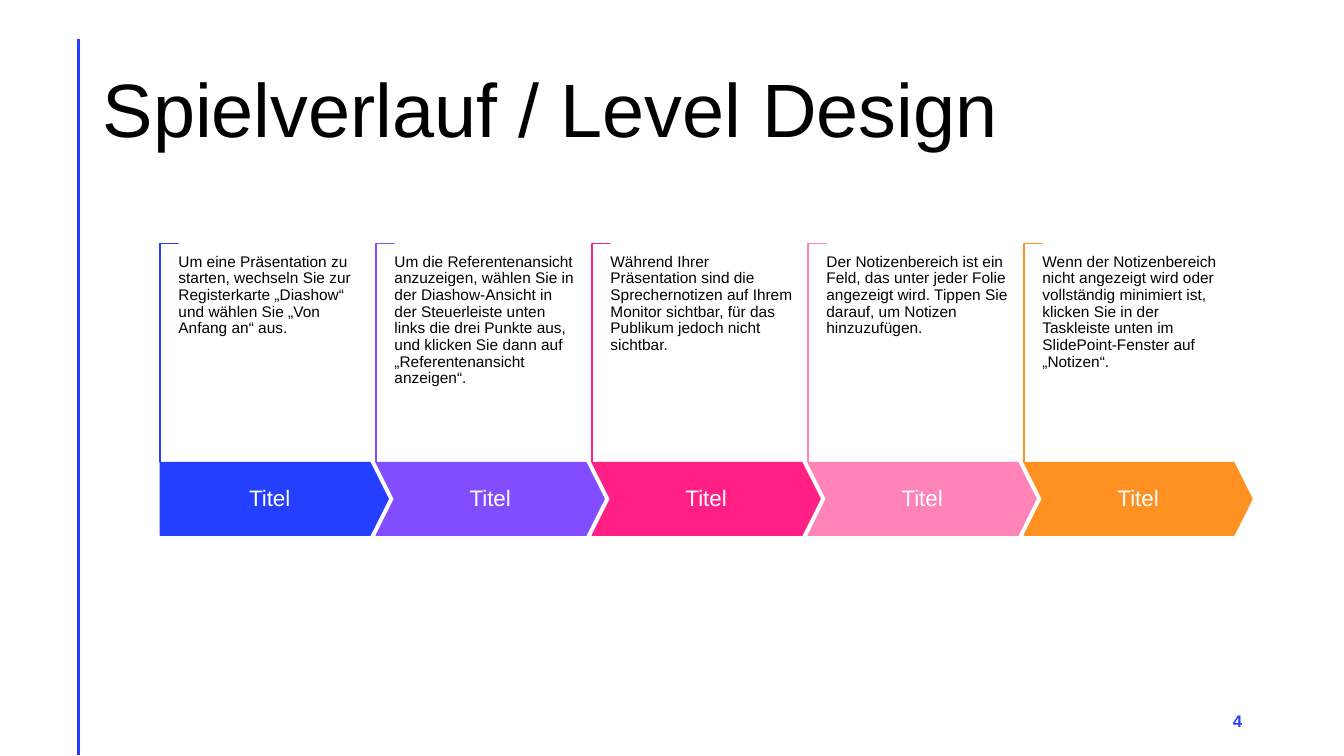
import dataclasses

import lxml.etree
import pptx
import pptx.dml.color
import pptx.enum.shapes
import pptx.enum.text
import pptx.oxml.ns
import pptx.util

ALIGN = pptx.enum.text.PP_ALIGN
ANCHOR = pptx.enum.text.MSO_ANCHOR
SHAPE = pptx.enum.shapes.MSO_SHAPE


@dataclasses.dataclass(frozen=True)
class Theme:
    font: str = "Arial"
    ink: str = "000000"
    paper: str = "FFFFFF"
    accent: str = "243FFF"
    steps: tuple = ("243FFF", "814DFF", "FF1F85", "FF83B6", "FF9022")
    heading_size: int = 54
    step_size: int = 16
    body_size: int = 11
    number_size: int = 12


def rgb(code):
    return pptx.dml.color.RGBColor.from_string(code)


def write(frame, text, *, font, size, color, bold=False, align=ALIGN.LEFT,
          anchor=ANCHOR.TOP, spacing=0.9, inset=0.1):
    """Fill a text frame with one formatted paragraph; inset is in inches."""
    frame.word_wrap = True
    frame.vertical_anchor = anchor
    frame.margin_left = frame.margin_right = pptx.util.Inches(inset)
    frame.margin_top = frame.margin_bottom = pptx.util.Inches(inset / 2)
    paragraph = frame.paragraphs[0]
    paragraph.alignment = align
    paragraph.line_spacing = spacing
    run = paragraph.add_run()
    run.text = text
    run.font.name = font
    run.font.size = pptx.util.Pt(size)
    run.font.bold = bold
    run.font.color.rgb = rgb(color)


class SlideBuilder:
    """Draws on a slide; every length is a percentage of the slide's size."""

    def __init__(self, presentation, theme):
        self.theme = theme
        self.width = presentation.slide_width
        self.height = presentation.slide_height
        self.slide = presentation.slides.add_slide(presentation.slide_layouts[6])

    def box(self, left, top, width, height):
        return (round(left * self.width / 100), round(top * self.height / 100),
                round(width * self.width / 100), round(height * self.height / 100))

    def text(self, area, words, **style):
        label = self.slide.shapes.add_textbox(*self.box(*area))
        write(label.text_frame, words, font=self.theme.font, **style)

    def shape(self, kind, area, fill, line, adjustments, rotation=0):
        figure = self.slide.shapes.add_shape(kind, *self.box(*area))
        figure.shadow.inherit = False
        figure.rotation = rotation
        for index, value in enumerate(adjustments):
            figure.adjustments[index] = value
        figure.fill.solid()
        figure.fill.fore_color.rgb = rgb(fill)
        figure.line.color.rgb = rgb(line)
        figure.line.width = pptx.util.Pt(1)
        return figure

    def rule(self, x, top, bottom, color, weight):
        left, start, _, drop = self.box(x, top, 0, bottom - top)
        rule = self.slide.shapes.add_connector(
            pptx.enum.shapes.MSO_CONNECTOR.STRAIGHT, left, start, left, start + drop)
        rule.line.color.rgb = rgb(color)
        rule.line.width = pptx.util.Pt(weight)
        lxml.etree.SubElement(rule._element.spPr, pptx.oxml.ns.qn("a:effectLst"))

    def step(self, index, title, description):
        theme, color = self.theme, self.theme.steps[index]
        left = STEP_LEFT + index * STEP_PITCH
        # Bracket: a thin corner, turned so that it runs down to the arrow
        self.shape(SHAPE.CORNER, (left - 7.5, 45.47, 16.28, 2.4),
                   theme.paper, color, (0.01, 0.01), rotation=90)
        # Arrow with its title
        kind = SHAPE.CHEVRON if index else SHAPE.PENTAGON
        arrow = self.shape(kind, (left, 61.2, 16.95, 9.6), color, color, (0.25,))
        write(arrow.text_frame, title, font=theme.font, size=theme.step_size,
              color=theme.paper, align=ALIGN.CENTER, anchor=ANCHOR.MIDDLE)
        # Description
        self.text((left + 1.35, 33.6, 13.73, 20.67), description,
                  size=theme.body_size, color=theme.ink, inset=0)


STEP_LEFT, STEP_PITCH = 11.93, 16.07
STEPS = (
    ("Titel", "Um eine Präsentation zu starten, wechseln Sie zur Registerkarte "
              "„Diashow“ und wählen Sie „Von Anfang an“ aus."),
    ("Titel", "Um die Referentenansicht anzuzeigen, wählen Sie in der "
              "Diashow-Ansicht in der Steuerleiste unten links die drei Punkte "
              "aus, und klicken Sie dann auf „Referentenansicht anzeigen“."),
    ("Titel", "Während Ihrer Präsentation sind die Sprechernotizen auf Ihrem "
              "Monitor sichtbar, für das Publikum jedoch nicht sichtbar."),
    ("Titel", "Der Notizenbereich ist ein Feld, das unter jeder Folie angezeigt "
              "wird. Tippen Sie darauf, um Notizen hinzuzufügen."),
    ("Titel", "Wenn der Notizenbereich nicht angezeigt wird oder vollständig "
              "minimiert ist, klicken Sie in der Taskleiste unten im "
              "SlidePoint-Fenster auf „Notizen“."),
)


def main():
    presentation = pptx.Presentation()
    presentation.slide_width = pptx.util.Inches(13.33)
    presentation.slide_height = pptx.util.Inches(7.5)
    theme = Theme()
    builder = SlideBuilder(presentation, theme)

    # Margin rule, heading and slide number
    builder.rule(5.85, 5.2, 99.87, theme.accent, weight=2)
    builder.text((6.9, 5.33, 86.27, 19.33), "Spielverlauf / Level Design",
                 size=theme.heading_size, color=theme.ink, anchor=ANCHOR.MIDDLE)
    builder.text((70.67, 92.67, 22.5, 5.33), "4", size=theme.number_size,
                 color=theme.accent, bold=True, align=ALIGN.RIGHT,
                 anchor=ANCHOR.MIDDLE, spacing=1.0)

    # Process steps
    for index, (title, description) in enumerate(STEPS):
        builder.step(index, title, description)

    presentation.save("out.pptx")


if __name__ == "__main__":
    main()
